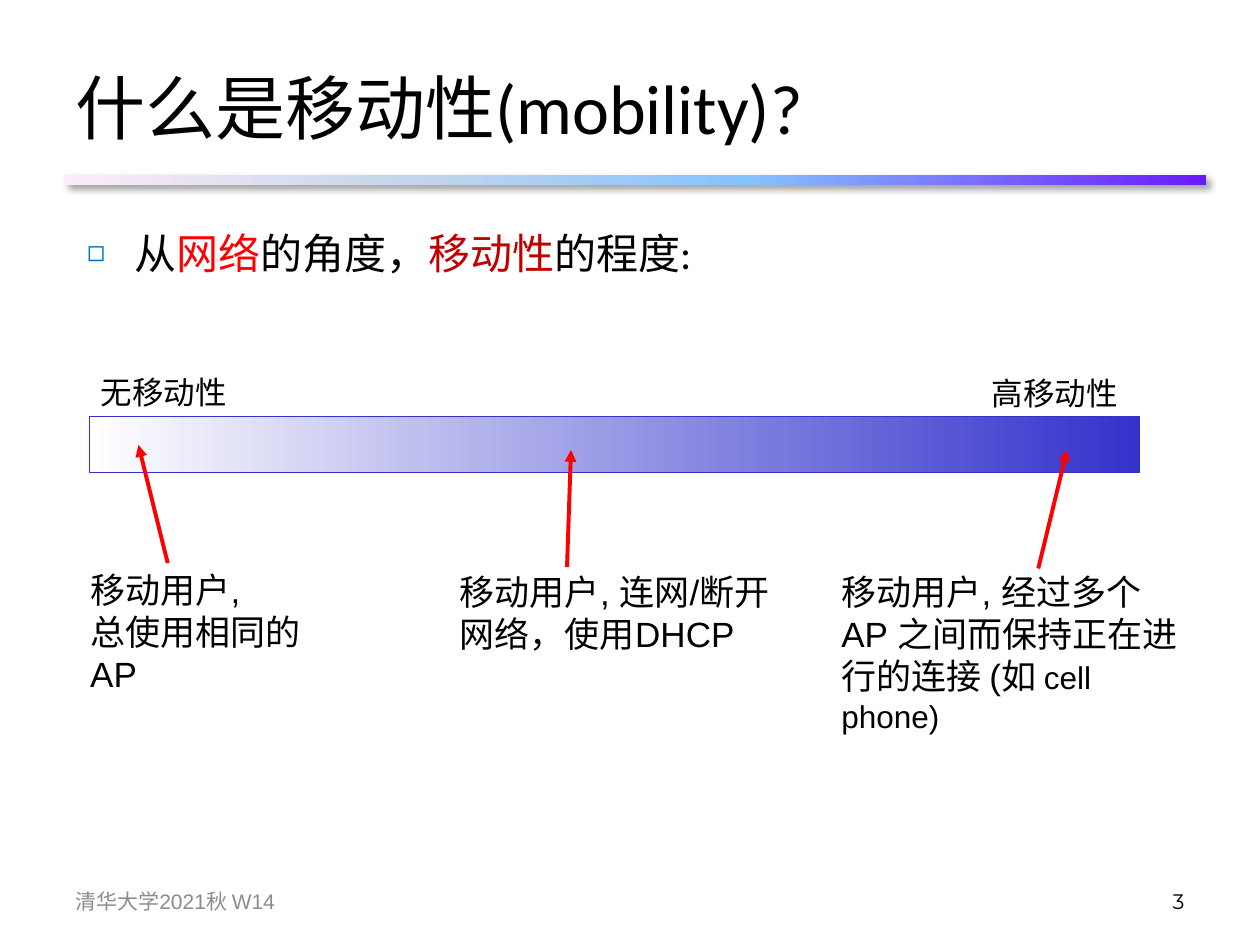
from dataclasses import dataclass
from pptx import Presentation
from pptx.dml.color import RGBColor
from pptx.enum.shapes import MSO_CONNECTOR, MSO_SHAPE
from pptx.enum.text import MSO_ANCHOR, PP_ALIGN
from pptx.oxml import parse_xml
from pptx.oxml.ns import nsdecls, qn
from pptx.util import Cm, Pt


@dataclass(frozen=True)
class Theme:
    black: str = "000000"
    red: str = "FF0000"
    dark: str = "C00000"
    blue: str = "3333CC"
    bullet: str = "0070C0"
    grey: str = "8C8C8C"
    rule: tuple = ((0, "FFEBFA"), (30, "C4D6EB"), (60, "85C2FF"), (100, "6B19FF"))
    scale: tuple = ((0, "FFFFFF"), (100, "3333CC"))
    title: int = 40
    body: int = 24
    note: int = 20
    label: int = 18
    foot: int = 12
    head: str = "Calibri"
    text: str = "Arial"
    page: str = "Montserrat"
    han: str = "Noto Sans CJK SC"


theme = Theme()


def style(run, size, color, face=theme.text):
    font = run.font
    font.size, font.name = Pt(size), face
    font.color.rgb = RGBColor.from_string(color)
    run._r.get_or_add_rPr().append(
        parse_xml(f'<a:ea {nsdecls("a")} typeface="{theme.han}"/>'))


def band(left, top, width, height, stops):
    """Add a rectangle whose colours run from left to right."""
    bar = slide.shapes.add_shape(
        MSO_SHAPE.RECTANGLE, Cm(left), Cm(top), Cm(width), Cm(height))
    bar.shadow.inherit = False
    bar.fill.gradient()
    bar.fill.gradient_angle = 0
    group = bar._element.spPr.find(qn("a:gradFill")).find(qn("a:gsLst"))
    for stop in list(group):
        group.remove(stop)
    for pos, color in stops:
        group.append(parse_xml(
            f'<a:gs {nsdecls("a")} pos="{pos * 1000}"><a:srgbClr val="{color}"/></a:gs>'))
    return bar


deck = Presentation()
deck.slide_width, deck.slide_height = Cm(25.4), Cm(19.05)
slide = deck.slides.add_slide(deck.slide_layouts[1])

# Rule under the title
rule = band(1.3, 3.53, 23.01, 0.2, theme.rule)
rule.line.fill.background()
rule._element.spPr.find(qn("a:effectLst")).append(parse_xml(
    f'<a:outerShdw {nsdecls("a")} blurRad="{Pt(4)}" dist="{Pt(3)}" dir="2700000">'
    f'<a:srgbClr val="{theme.black}"><a:alpha val="40000"/></a:srgbClr></a:outerShdw>'))

# Title
title = slide.shapes.title
title.left, title.top, title.width, title.height = Cm(1.27), Cm(0.76), Cm(22.86), Cm(2.77)
title.text_frame.text = "什么是移动性(mobility)?"
title.text_frame.vertical_anchor = MSO_ANCHOR.MIDDLE
line = title.text_frame.paragraphs[0]
line.alignment = PP_ALIGN.LEFT
style(line.runs[0], theme.title, theme.black, theme.head)

# Bulleted line
body = slide.placeholders[1]
body.left, body.top, body.width, body.height = Cm(1.5), Cm(4.45), Cm(22.78), Cm(1.6)
line = body.text_frame.paragraphs[0]
for words, color, face in (
    ("从", theme.black, theme.head),
    ("网络", theme.red, theme.head),
    ("的角度，", theme.black, theme.head),
    ("移动性", theme.dark, theme.han),
    ("的程度:", theme.black, theme.head),
):
    run = line.add_run()
    run.text = words
    style(run, theme.body, color, face)
props = line._p.get_or_add_pPr()
props.set("marL", str(Cm(0.95)))
props.set("indent", str(Cm(-0.95)))
for tag in (
    f'<a:buClr {nsdecls("a")}><a:srgbClr val="{theme.bullet}"/></a:buClr>',
    f'<a:buSzPct {nsdecls("a")} val="70000"/>',
    f'<a:buChar {nsdecls("a")} char="◻"/>',
):
    props.append(parse_xml(tag))

# Mobility scale
scale = band(1.8, 8.4, 21.16, 1.13, theme.scale)
scale.line.color.rgb = RGBColor.from_string(theme.blue)
scale.line.width = Pt(0.75)

# Labels and notes: left, top, width, height, wrap, paragraphs of (words, size)
for left, top, width, height, wrap, lines in (
    (1.78, 7.39, 3.07, 1.02, False, [[("无移动性", theme.label)]]),
    (19.74, 7.42, 3.07, 1.02, False, [[("高移动性", theme.label)]]),
    (1.57, 11.33, 5.6, 2.8, True,
     [[("移动用户,", theme.note)], [("总使用相同的 AP", theme.note)]]),
    (9.02, 11.38, 6.76, 2.8, True,
     [[("移动用户, 连网/断开网络，使用DHCP", theme.note)]]),
    (16.71, 11.38, 7.47, 3.58, True,
     [[("移动用户, 经过多个AP 之间而保持正在进行的连接 (如 ", theme.note),
       ("cell phone)", theme.label)]]),
):
    frame = slide.shapes.add_textbox(Cm(left), Cm(top), Cm(width), Cm(height)).text_frame
    frame.word_wrap = wrap
    for i, parts in enumerate(lines):
        line = frame.add_paragraph() if i else frame.paragraphs[0]
        for words, size in parts:
            run = line.add_run()
            run.text = words
            style(run, size, theme.black)

# Arrows from the notes to the scale
for x1, y1, x2, y2 in (
    (3.38, 11.35, 2.79, 8.97),
    (11.43, 11.43, 11.51, 9.07),
    (20.93, 11.46, 21.51, 9.07),
):
    arrow = slide.shapes.add_connector(
        MSO_CONNECTOR.STRAIGHT, Cm(x1), Cm(y1), Cm(x2), Cm(y2))
    arrow.line.color.rgb = RGBColor.from_string(theme.red)
    arrow.line.width = Pt(2.25)
    arrow.line._get_or_add_ln().append(
        parse_xml(f'<a:tailEnd {nsdecls("a")} type="triangle"/>'))
    arrow._element.spPr.append(parse_xml(f'<a:effectLst {nsdecls("a")}/>'))

# Footer
for left, words, color, face, align in (
    (1.27, "清华大学2021秋 W14", theme.grey, theme.text, PP_ALIGN.LEFT),
    (18.21, "3", theme.black, theme.page, PP_ALIGN.RIGHT),
):
    frame = slide.shapes.add_textbox(Cm(left), Cm(17.65), Cm(5.92), Cm(1.02)).text_frame
    frame.word_wrap = True
    frame.vertical_anchor = MSO_ANCHOR.MIDDLE
    frame.text = words
    frame.paragraphs[0].alignment = align
    style(frame.paragraphs[0].runs[0], theme.foot, color, face)

deck.save("out.pptx")
